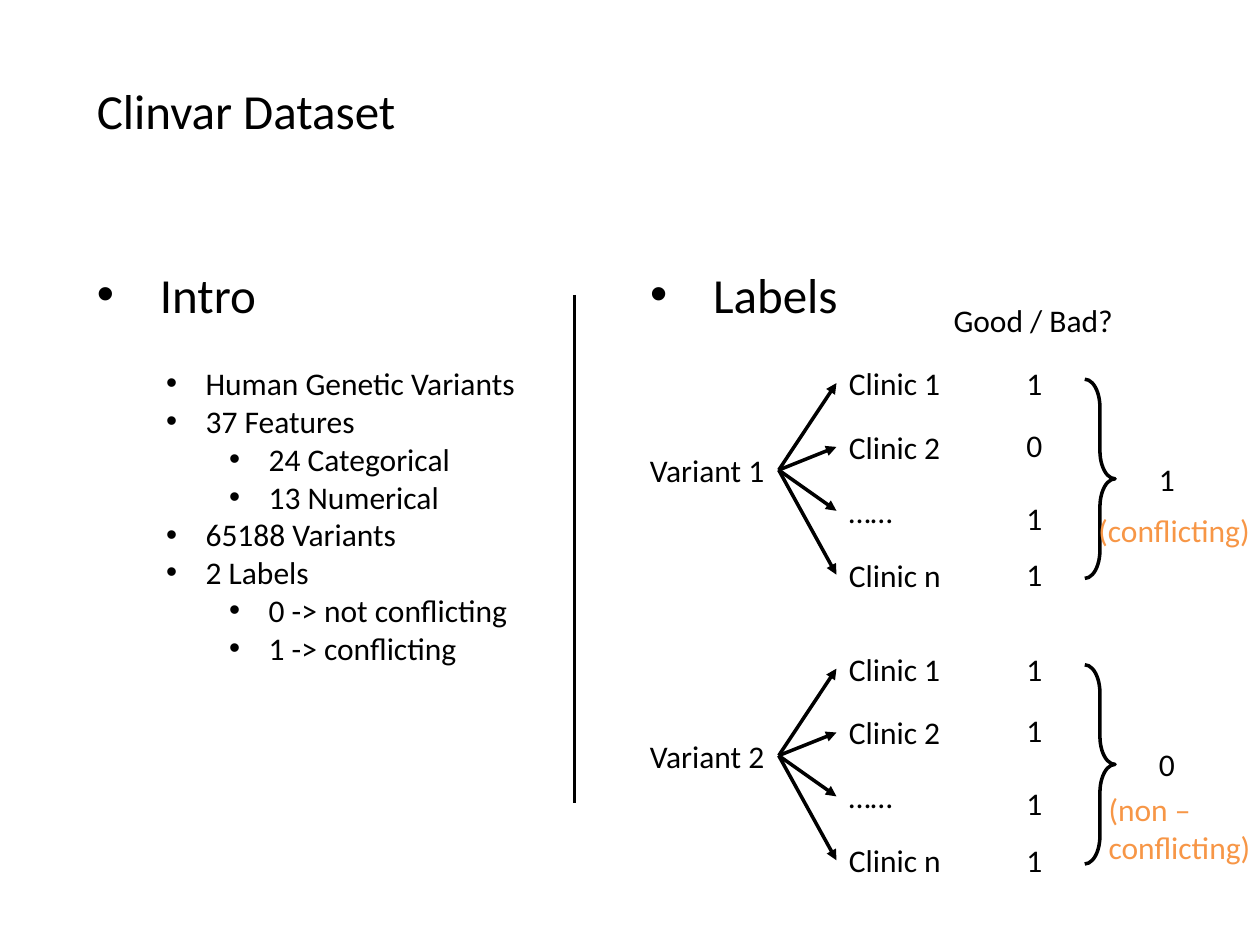
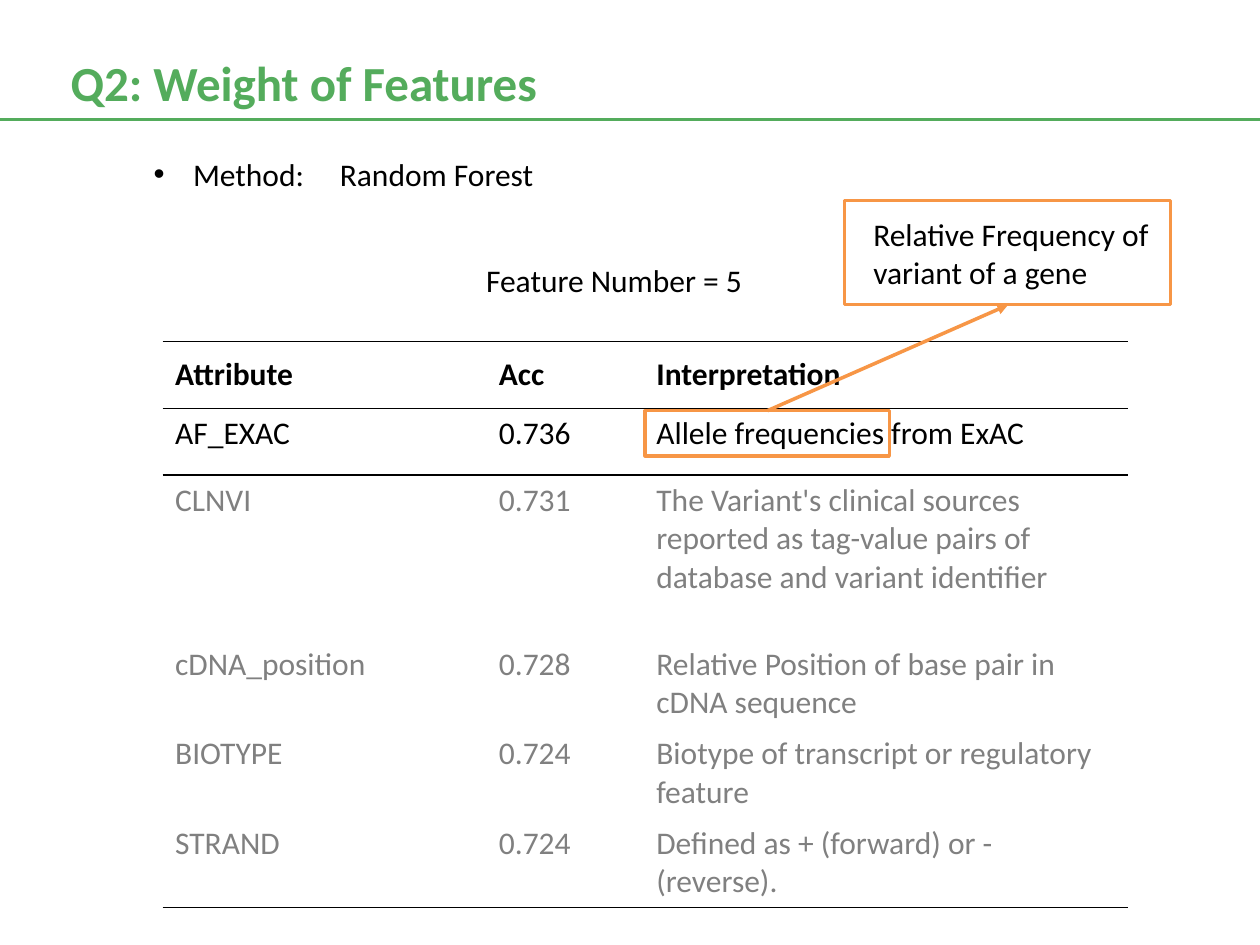
"""Builds two slides: a data set summary and the weights of its features."""
from lxml import etree
from pptx import Presentation
from pptx.dml.color import RGBColor
from pptx.enum import shapes, text
from pptx.oxml import ns
from pptx.util import Pt

BLACK = RGBColor(0x00, 0x00, 0x00)
WHITE = RGBColor(0xFF, 0xFF, 0xFF)
GRAY = RGBColor(0x80, 0x80, 0x80)
GREEN = RGBColor(0x54, 0xAC, 0x5C)
ORANGE = RGBColor(0xF7, 0x96, 0x46)
FONT = "Calibri"
HEAD, BODY = 28, 18
LINE = 28.8
PLAIN = "{2D5ABB26-0587-4C30-8999-92F81FD0307C}"


def write(shape, box, words, size=BODY, color=BLACK, bold=False, wrap=False, hang=0, step=36):
    """Place a shape and fill it with text, bulleted if hang is set; a leading tab marks a sub-item."""
    shape.left, shape.top, shape.width, shape.height = [Pt(n) for n in box]
    frame = shape.text_frame
    frame.text = words.replace("\t", "")
    frame.word_wrap = wrap
    frame.auto_size = text.MSO_AUTO_SIZE.NONE
    frame.vertical_anchor = text.MSO_ANCHOR.TOP
    for para, row in zip(frame.paragraphs, words.split("\n")):
        para.alignment = text.PP_ALIGN.LEFT
        para.space_before = Pt(0)
        para.level = row.count("\t")
        for run in para.runs:
            run.font.name, run.font.size = FONT, Pt(size)
            run.font.bold, run.font.color.rgb = bold, color
        if hang:
            prop = para._p.get_or_add_pPr()
            prop.set("marL", str(Pt(hang + step * para.level)))
            prop.set("indent", str(-Pt(hang)))
            etree.SubElement(prop, ns.qn("a:buFont")).set("typeface", "Arial")
            etree.SubElement(prop, ns.qn("a:buChar")).set("char", "•")


def link(slide, start, end, color, width, arrow=False):
    """Draw a straight line, with an arrowhead at its end if asked."""
    line = slide.shapes.add_connector(
        shapes.MSO_CONNECTOR.STRAIGHT, *[Pt(n) for n in start + end])
    line.line.color.rgb = color
    line.line.width = Pt(width)
    prop = line._element.spPr
    if arrow:
        etree.SubElement(prop.find(ns.qn("a:ln")), ns.qn("a:tailEnd")).set("type", "triangle")
    etree.SubElement(prop, ns.qn("a:effectLst"))


deck = Presentation()
deck.slide_width, deck.slide_height = Pt(720), Pt(540)

data = deck.slides.add_slide(deck.slide_layouts[4])
title, intro, facts, labels, spare = data.placeholders
spare._element.getparent().remove(spare._element)
write(title, (48.2, 42.5, 302.4, 41), "Clinvar Dataset", HEAD, wrap=True)
write(intro, (48.2, 147.6, 123.8, 41), "Intro", HEAD, wrap=True, hang=36)
write(labels, (364.3, 147.6, 123.8, 41), "Labels", HEAD, wrap=True, hang=36)
write(facts, (87.8, 204.5, 272.2, 181.4),
      "Human Genetic Variants\n37 Features\n\t24 Categorical\n\t13 Numerical\n"
      "65188 Variants\n2 Labels\n\t0 -> not conflicting\n\t1 -> conflicting",
      wrap=True, hang=22.5)
link(data, (328.3, 168.5), (328.3, 458.6), BLACK, 1.5)

CLINICS = [("Clinic 1", 67.7), ("Clinic 2", 67.7), ("……", 40.3), ("Clinic n", 67.7)]
SCORE_TOPS = [204.5, 239.8, 281.5, 313.9]
VARIANTS = [
    ("Variant 1", "1011", "1", "(conflicting)", (620.6, 288.7, 102.2, LINE)),
    ("Variant 2", "1111", "0", "(non –\nconflicting)", (626.4, 447.8, 96.5, 51.1)),
]
notes = [("Good / Bad?", (537.8, 168.5, 106.6, LINE), BLACK)]
for i, (name, scores, label, verdict, spot) in enumerate(VARIANTS):
    drop = 163.2 * i
    notes += [(name, (364.3, 254.2 + drop, 80.6, LINE), BLACK),
              (label, (655.2, 259.2 + drop, 23.8, LINE), BLACK),
              (verdict, spot, ORANGE)]
    for j, (clinic, wide) in enumerate(CLINICS):
        top = 204.5 + 36.5 * j + drop
        notes += [(clinic, (478, top, wide, LINE), BLACK),
                  (scores[j], (579.4, SCORE_TOPS[j] + drop, 23.8, LINE), BLACK)]
        link(data, (445, 268.6 + drop), (478, top + LINE / 2), BLACK, 2, True)
    brace = data.shapes.add_shape(
        shapes.MSO_SHAPE.RIGHT_BRACE, Pt(619.9), Pt(216.7 + drop), Pt(17.3), Pt(113.8))
    brace.adjustments[0] = 0.93
    brace.fill.background()
    brace.line.color.rgb, brace.line.width = BLACK, Pt(2)
    brace.shadow.inherit = False
for words, box, color in notes:
    write(data.shapes.add_textbox(0, 0, 0, 0), box, words, color=color)

rank = deck.slides.add_slide(deck.slide_layouts[1])
title, method = rank.placeholders
write(title, (33.1, 26.6, 300, 41), "Q2: Weight of Features", HEAD, GREEN, bold=True, wrap=True)
link(rank, (0, 68.4), (720, 68.4), GREEN, 1.38)
write(method, (80.6, 85, 250, LINE), "Method:", wrap=True, hang=22.5)
for words, gap in [(" ", 1630), ("Random Forest", 0)]:
    run = method.text_frame.paragraphs[0].add_run()
    run.text = words
    run.font.name, run.font.size, run.font.color.rgb = FONT, Pt(BODY), BLACK
    run._r.get_or_add_rPr().set("spc", str(gap))
write(rank.shapes.add_textbox(0, 0, 0, 0), (270.7, 145.4, 162.7, LINE), "Feature Number = 5")

ROWS = [
    ("Attribute", "Acc", "Interpretation"),
    ("AF_EXAC", "0.736", "Allele frequencies from ExAC"),
    ("CLNVI", "0.731", "The Variant's clinical sources reported as tag-value pairs "
                       "of database and variant identifier"),
    ("cDNA_position", "0.728", "Relative Position of base pair in cDNA sequence"),
    ("BIOTYPE", "0.724", "Biotype of transcript or regulatory feature"),
    ("STRAND", "0.724", "Defined as + (forward) or - (reverse)."),
]
WIDTHS = [185, 90, 276.5]
HEIGHTS = [38.2, 38.2, 93.7, 50.3, 50.3, 50.3]
EDGES = {0: ("lnB", "lnT"), 1: ("lnT",), 5: ("lnB",)}
grid = rank.shapes.add_table(
    len(ROWS), len(WIDTHS), Pt(92.9), Pt(195.1), Pt(sum(WIDTHS)), Pt(sum(HEIGHTS))).table
grid.horz_banding = False
grid._tbl.tblPr.find(ns.qn("a:tableStyleId")).text = PLAIN
for col, wide in zip(grid.columns, WIDTHS):
    col.width = Pt(wide)
for i, (row, high) in enumerate(zip(ROWS, HEIGHTS)):
    grid.rows[i].height = Pt(high)
    for j, words in enumerate(row):
        cell = grid.cell(i, j)
        cell.text_frame.text = words
        font = cell.text_frame.paragraphs[0].runs[0].font
        font.name, font.size, font.bold = FONT, Pt(BODY), i == 0
        font.color.rgb = GRAY if i > 1 else BLACK
        cell.vertical_anchor = text.MSO_ANCHOR.TOP if i else text.MSO_ANCHOR.MIDDLE
        cell.fill.background()
        prop = cell._tc.get_or_add_tcPr()
        for edge in EDGES.get(i, ()):
            line = etree.Element(ns.qn("a:" + edge), w=str(Pt(1)))
            fill = etree.SubElement(line, ns.qn("a:solidFill"))
            etree.SubElement(fill, ns.qn("a:srgbClr")).set("val", str(BLACK))
            prop.insert(0, line)

callout, mark = [rank.shapes.add_shape(shapes.MSO_SHAPE.RECTANGLE, *[Pt(n) for n in box])
                 for box in [(482.4, 114.5, 186.5, 59.8), (368.6, 234.7, 139.7, 25.9)]]
for frame in (callout, mark):
    frame.line.color.rgb, frame.line.width = ORANGE, Pt(1.75)
    frame.shadow.inherit = False
mark.fill.background()
callout.fill.solid()
callout.fill.fore_color.rgb = WHITE
write(callout, (482.4, 114.5, 186.5, 59.8), "Relative Frequency of variant of a gene", wrap=True)
callout.text_frame.margin_left = Pt(16.6)
callout.text_frame.vertical_anchor = text.MSO_ANCHOR.MIDDLE
link(rank, (438.5, 234.7), (576, 174.3), ORANGE, 2, True)

deck.save("out.pptx")
